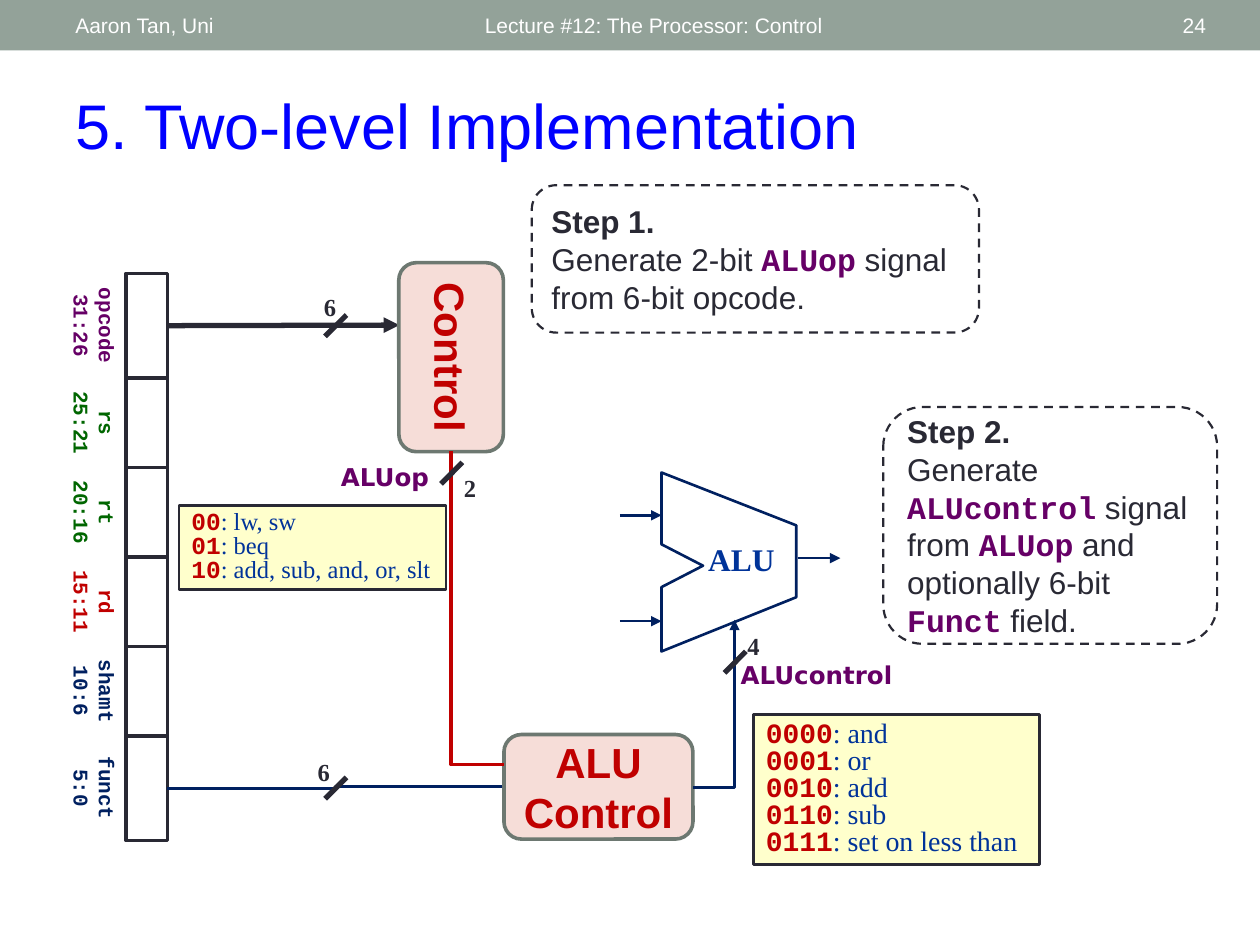
"""Build the lecture slide on two-level ALU control."""
from dataclasses import dataclass
from typing import NamedTuple

from lxml import etree
from pptx import Presentation
from pptx.dml.color import RGBColor
from pptx.enum.dml import MSO_LINE
from pptx.enum.shapes import MSO_CONNECTOR, MSO_SHAPE
from pptx.enum.text import MSO_ANCHOR, PP_ALIGN
from pptx.oxml.ns import qn
from pptx.util import Inches, Pt

RECT, ROUND = MSO_SHAPE.RECTANGLE, MSO_SHAPE.ROUNDED_RECTANGLE
STRAIGHT, ELBOW = MSO_CONNECTOR.STRAIGHT, MSO_CONNECTOR.ELBOW
LEFT, CENTER, RIGHT = PP_ALIGN.LEFT, PP_ALIGN.CENTER, PP_ALIGN.RIGHT
TOP, MIDDLE = MSO_ANCHOR.TOP, MSO_ANCHOR.MIDDLE
LEFT_SIDE, RIGHT_SIDE = 1, 3


@dataclass(frozen=True)
class Theme:
    """Colours, fonts and type sizes of the slide."""
    bar: str = "93A299"
    white: str = "FFFFFF"
    title: str = "0000FF"
    ink: str = "292934"
    purple: str = "660066"
    green: str = "006600"
    red: str = "C00000"
    navy: str = "002060"
    blue: str = "003399"
    pink: str = "F6DDD8"
    unit_edge: str = "6D7871"
    cream: str = "FFFFCC"
    sans: str = "Arial"
    mono: str = "Courier New"
    serif: str = "Times New Roman"
    signal: str = "DejaVu Sans"
    small: int = 12
    note: int = 14
    code: int = 16
    body: int = 18
    unit: int = 24
    heading: int = 36


T = Theme()


class Box(NamedTuple):
    """Left, top, width and height in inches."""
    left: float
    top: float
    width: float
    height: float


class Span(NamedTuple):
    """A run of text in one style."""
    text: str
    size: int
    font: str
    color: str
    bold: bool = False


class Field(NamedTuple):
    """One field of the instruction word."""
    name: str
    bits: str
    color: str
    height: float


class Slash(NamedTuple):
    """A bus-width mark: lower-left corner column, top and count box."""
    left: float
    top: float
    count: str
    count_left: float
    count_top: float


def rgb(color: str) -> RGBColor:
    """Turn a hex string into a colour."""
    return RGBColor.from_string(color)


def write(shape, paragraphs: list, align=LEFT, anchor=MIDDLE, spacing=None, wrap=True) -> None:
    """Fill a shape with paragraphs of spans."""
    frame = shape.text_frame
    frame.word_wrap, frame.vertical_anchor = wrap, anchor
    for index, spans in enumerate(paragraphs):
        paragraph = frame.add_paragraph() if index else frame.paragraphs[0]
        paragraph.alignment = align
        if spacing:
            paragraph.line_spacing = spacing
        for span in spans:
            run = paragraph.add_run()
            run.text = span.text
            run.font.size, run.font.name, run.font.bold = Pt(span.size), span.font, span.bold
            run.font.color.rgb = rgb(span.color)


def label(slide, box: Box, paragraphs: list, rotation: float = 0, **layout) -> None:
    """Add a text box."""
    text_box = slide.shapes.add_textbox(*map(Inches, box))
    text_box.rotation = rotation
    write(text_box, paragraphs, **layout)


def paint(shape, fill: str, edge: str = "", width: float = 0) -> None:
    """Set fill and outline and drop the shadow."""
    shape.shadow.inherit = False
    shape.fill.solid()
    shape.fill.fore_color.rgb = rgb(fill)
    if edge:
        shape.line.color.rgb, shape.line.width = rgb(edge), Pt(width)
    else:
        shape.line.fill.background()


def block(slide, kind, box: Box, fill: str, edge: str = "", width: float = 0):
    """Add a filled preset shape."""
    shape = slide.shapes.add_shape(kind, *map(Inches, box))
    paint(shape, fill, edge, width)
    return shape


def wire(slide, start: tuple, end: tuple, color: str, width: float,
         kind=STRAIGHT, arrow: bool = False, corner: bool = False):
    """Add a connector, with an arrowhead or a single corner if asked."""
    line = slide.shapes.add_connector(kind, *map(Inches, start + end))
    line.line.color.rgb, line.line.width = rgb(color), Pt(width)
    properties = line.element.spPr
    if corner:
        properties.find(qn("a:prstGeom")).set("prst", "bentConnector2")
    if arrow:
        etree.SubElement(properties.find(qn("a:ln")), qn("a:tailEnd"), type="triangle")
    etree.SubElement(properties, qn("a:effectLst"))
    return line


def bus_width(slide, mark: Slash) -> None:
    """Add a slash across a wire and its bit count."""
    wire(slide, (mark.left + 0.17, mark.top), (mark.left, mark.top + 0.17), T.ink, 3)
    label(slide, Box(mark.count_left, mark.count_top, 0.3, 0.29),
          [[Span(mark.count, T.note, T.serif, T.ink, True)]],
          align=CENTER, spacing=0.8, wrap=False)


def code_table(slide, box: Box, codes: dict, size: int, wrap: bool) -> None:
    """Add a cream box listing codes and their meanings."""
    rows = [[Span(code, size, T.mono, T.red, True), Span(f": {meaning}", size, T.serif, T.blue)]
            for code, meaning in codes.items()]
    write(block(slide, RECT, box, T.cream, T.ink, 1.5), rows, spacing=0.8, wrap=wrap)


def step(slide, box: Box, heading: str, pieces: list) -> None:
    """Add a dashed note whose odd pieces are signal names."""
    note = block(slide, ROUND, box, T.white, T.ink, 1.25)
    note.line.dash_style = MSO_LINE.DASH
    spans = [Span(piece, T.body, T.mono, T.purple, True) if index % 2
             else Span(piece, T.body, T.sans, T.ink) for index, piece in enumerate(pieces)]
    write(note, [[Span(heading, T.body, T.sans, T.ink, True)], spans])


def unit(slide, box: Box, name: str, rotation: float = 0):
    """Add a control unit."""
    shape = block(slide, ROUND, box, T.pink, T.unit_edge, 2.08)
    shape.rotation = rotation
    write(shape, [[Span(name, T.unit, T.sans, T.red, True)]], align=CENTER)
    return shape


def instruction(slide, fields: list) -> list:
    """Stack the instruction fields with their rotated labels."""
    cells, top = [], 2.17
    for field in fields:
        middle = top + field.height / 2
        label(slide, Box(0.75 - field.height / 2, middle - 0.25, field.height, 0.5),
              [[Span(text, T.small, T.mono, field.color, True)] for text in (field.name, field.bits)],
              rotation=90, align=CENTER)
        cells.append(block(slide, RECT, Box(1, top, 0.33, field.height), T.white, T.ink, 2.08))
        top += field.height
    return cells


def alu(slide) -> None:
    """Draw the ALU with its inputs and output."""
    corners = [(5.25, 3.75), (6.32, 4.17), (6.32, 4.74), (5.25, 5.17),
               (5.25, 4.66), (5.58, 4.49), (5.25, 4.32)]
    first, *others = [(Inches(x), Inches(y)) for x, y in corners]
    builder = slide.shapes.build_freeform(*first)
    builder.add_line_segments(others, close=True)
    paint(builder.convert_to_shape(), T.white, T.navy, 1.5)
    label(slide, Box(5.52, 4.29, 0.73, 0.35), [[Span("ALU", T.body, T.serif, T.blue, True)]],
          align=CENTER, spacing=0.8, wrap=False)
    for left, right, y in ((4.92, 5.25, 4.09), (4.92, 5.25, 4.93), (6.33, 6.67, 4.43)):
        wire(slide, (left, y), (right, y), T.navy, 1.5, arrow=True)


def main() -> None:
    """Build and save the slide."""
    deck = Presentation()
    deck.slide_width, deck.slide_height = Inches(10), Inches(7.5)
    slide = deck.slides.add_slide(deck.slide_layouts[6])

    block(slide, RECT, Box(0, 0, 10, 0.4), T.bar)
    for left, width, text, align in ((3.75, 4.5, "Lecture #12: The Processor: Control", LEFT),
                                     (0.5, 3.17, "Aaron Tan, Uni", LEFT), (8.72, 0.95, "24", RIGHT)):
        label(slide, Box(left, 0.02, width, 0.36), [[Span(text, T.small, T.sans, T.white)]], align=align)
    label(slide, Box(0.5, 0.64, 9, 0.71),
          [[Span("5. Two-level Implementation", T.heading, T.sans, T.title)]], anchor=TOP)

    opcode, *_, funct = instruction(slide, [
        Field("opcode", "31:26", T.purple, 0.83), Field("rs", "25:21", T.green, 0.71),
        Field("rt", "20:16", T.green, 0.71), Field("rd", "15:11", T.red, 0.71),
        Field("shamt", "10:6", T.navy, 0.71), Field("funct", "5:0", T.navy, 0.83)])

    opcode_wire = wire(slide, (1.33, 2.58), (3.17, 2.58), T.ink, 3, arrow=True)
    opcode_wire.begin_connect(opcode, RIGHT_SIDE)
    unit(slide, Box(2.83, 2.42, 1.5, 0.83), "Control", 90)
    funct_wire = wire(slide, (4, 6.26), (1.33, 6.25), T.navy, 1.75, ELBOW)
    alu_control = unit(slide, Box(4, 5.83, 1.5, 0.83), "ALU Control")
    funct_wire.begin_connect(alu_control, LEFT_SIDE)
    funct_wire.end_connect(funct, RIGHT_SIDE)

    alu(slide)
    wire(slide, (4, 6.07), (3.58, 3.58), T.red, 1.75, ELBOW, corner=True)
    wire(slide, (5.5, 6.25), (5.83, 4.92), T.navy, 1.75, ELBOW, arrow=True, corner=True)
    for mark in (Slash(2.58, 2.5, "6", 2.47, 2.31), Slash(2.58, 6.17, "6", 2.42, 6),
                 Slash(5.75, 5.17, "4", 5.83, 5), Slash(3.5, 3.67, "2", 3.58, 3.75)):
        bus_width(slide, mark)
    for name, box in (("ALUcontrol", Box(5.77, 5.19, 1.42, 0.34)), ("ALUop", Box(2.6, 3.62, 0.91, 0.34))):
        label(slide, box, [[Span(name, T.note, T.signal, T.purple, True)]],
              align=CENTER, anchor=TOP, wrap=False)

    code_table(slide, Box(1.42, 4.01, 2.12, 0.67),
               {"00": "lw, sw", "01": "beq", "10": "add, sub, and, or, slt"}, T.note, False)
    code_table(slide, Box(5.98, 5.67, 2.27, 1.19),
               {"0000": "and", "0001": "or", "0010": "add", "0110": "sub",
                "0111": "set on less than"}, T.code, True)
    step(slide, Box(4.22, 1.47, 3.55, 1.17), "Step 1.",
         ["Generate 2-bit ", "ALUop", " signal from 6-bit opcode."])
    step(slide, Box(7.01, 3.23, 2.65, 1.88), "Step 2.",
         ["Generate ", "ALUcontrol", " signal from ", "ALUop",
          " and optionally 6-bit ", "Funct", " field."])
    deck.save("out.pptx")


if __name__ == "__main__":
    main()
